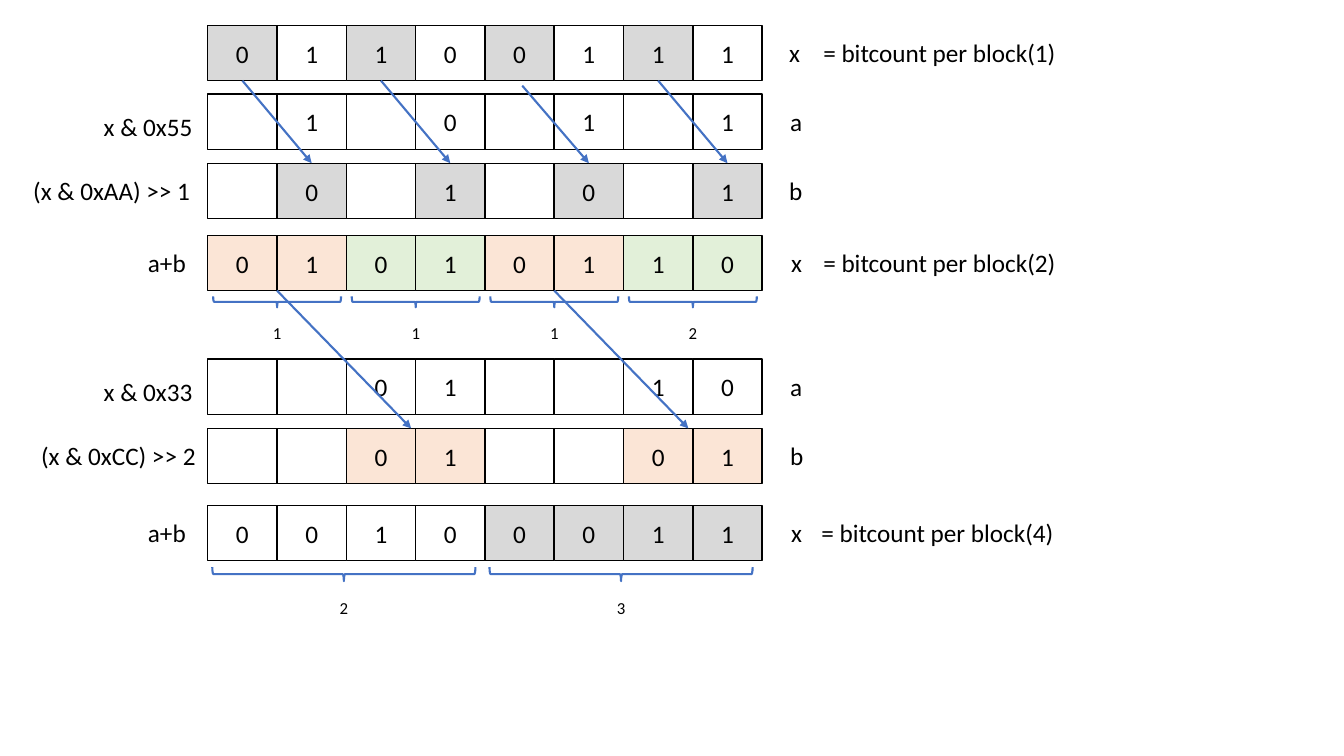
import dataclasses
import pptx
import pptx.util
import pptx.dml.color
import pptx.enum.shapes
import pptx.enum.text
import pptx.oxml
import pptx.oxml.ns

Pt = pptx.util.Pt
ALIGN = pptx.enum.text.PP_ALIGN


@dataclasses.dataclass(frozen=True)
class Theme:
    font: str = "Calibri"
    body: int = 18
    small: int = 12
    ink: str = "000000"
    blue: str = "4472C4"
    white: str = "FFFFFF"
    gray: str = "D9D9D9"
    peach: str = "FBE5D6"
    green: str = "E2F0D9"


THEME = Theme()
TINTS = {"w": THEME.white, "g": THEME.gray, "p": THEME.peach, "n": THEME.green}

# Bit grid
LEFT, WIDE, HIGH = 148.4, 49.5, 39.6
TOPS = [18, 67.2, 116.6, 168, 256.5, 306, 361]

# One row each: bits, cell tints
ROWS = [
    ("01100111", "gwgwgwgw"),
    (" 1 0 1 1", "wwwwwwww"),
    (" 0 1 0 1", "wgwgwgwg"),
    ("01010110", "ppnnppnn"),
    ("  01  10", "wwwwwwww"),
    ("  01  01", "wwppwwpp"),
    ("00100011", "wwwwgggg"),
]

# Side labels: row, text, left, width, drop below row top, wrap
LABELS = [
    (1, "x & 0x55", 67, 78.5, 8.6, False),
    (2, "(x & 0xAA) >> 1", 16.6, 135.4, 5, True),
    (3, "a+b", 98.6, 44, 5, True),
    (4, "x & 0x33", 67, 78.5, 8.6, False),
    (5, "(x & 0xCC) >> 2", 22.3, 126.7, 5, False),
    (6, "a+b", 98.6, 44, 5, True),
    (0, "x", 556.6, 22.3, 5, False),
    (1, "a", 557.3, 23, 5, False),
    (2, "b", 556.6, 24.5, 5, False),
    (3, "x", 558, 22.3, 5, False),
    (4, "a", 557.3, 23, 5, False),
    (5, "b", 557.3, 24.5, 5, False),
    (6, "x", 558, 22.3, 5, False),
    (0, "= bitcount per block(1)", 581, 190.8, 5, True),
    (3, "= bitcount per block(2)", 581, 190.8, 5, True),
    (6, "= bitcount per block(4)", 579.6, 190.8, 5, True),
]


def rgb(code):
    return pptx.dml.color.RGBColor.from_string(code)


def write(frame, text, size, align):
    para = frame.paragraphs[0]
    para.alignment = align
    run = para.add_run()
    run.text = text
    run.font.name = THEME.font
    run.font.size = Pt(size)
    run.font.color.rgb = rgb(THEME.ink)


def add_cell(slide, x, y, bit, tint):
    kind = pptx.enum.shapes.MSO_SHAPE.RECTANGLE
    cell = slide.shapes.add_shape(kind, Pt(x), Pt(y), Pt(WIDE), Pt(HIGH))
    cell.shadow.inherit = False
    cell.fill.solid()
    cell.fill.fore_color.rgb = rgb(tint)
    cell.line.color.rgb = rgb(THEME.ink)
    cell.line.width = Pt(1)
    if bit.strip():
        cell.text_frame.vertical_anchor = pptx.enum.text.MSO_ANCHOR.MIDDLE
        write(cell.text_frame, bit, THEME.body, ALIGN.CENTER)


def add_label(slide, x, y, wide, high, text, size=THEME.body,
              align=ALIGN.LEFT, wrap=True):
    box = slide.shapes.add_textbox(Pt(x), Pt(y), Pt(wide), Pt(high))
    box.text_frame.word_wrap = wrap
    box.text_frame.auto_size = pptx.enum.text.MSO_AUTO_SIZE.SHAPE_TO_FIT_TEXT
    write(box.text_frame, text, size, align)


def add_arrow(slide, x1, y1, x2, y2):
    kind = pptx.enum.shapes.MSO_CONNECTOR.STRAIGHT
    arrow = slide.shapes.add_connector(kind, Pt(x1), Pt(y1), Pt(x2), Pt(y2))
    arrow.line.color.rgb = rgb(THEME.blue)
    arrow.line.width = Pt(1.5)
    # Arrowhead and no shadow
    space = pptx.oxml.ns.nsdecls("a")
    head = pptx.oxml.parse_xml(f'<a:tailEnd {space} type="triangle"/>')
    arrow.line._get_or_add_ln().append(head)
    bare = pptx.oxml.parse_xml(f"<a:effectLst {space}/>")
    arrow._element.spPr.append(bare)


def add_brace(slide, mid, y, thick, span, count, drop):
    # The upright brace is turned about its centre to open upwards
    kind = pptx.enum.shapes.MSO_SHAPE.RIGHT_BRACE
    brace = slide.shapes.add_shape(kind, Pt(mid - thick / 2), Pt(y - span / 2),
                                   Pt(thick), Pt(span))
    brace.rotation = 90
    brace.shadow.inherit = False
    brace.fill.background()
    brace.line.color.rgb = rgb(THEME.blue)
    brace.line.width = Pt(1.5)
    add_label(slide, mid - 10, y + drop, 20, 22, count, THEME.small,
              ALIGN.CENTER)


def main():
    deck = pptx.Presentation()
    deck.slide_width, deck.slide_height = Pt(960), Pt(540)
    slide = deck.slides.add_slide(deck.slide_layouts[6])

    # Bit rows
    for top, (bits, tints) in zip(TOPS, ROWS):
        for col, (bit, tint) in enumerate(zip(bits, tints)):
            add_cell(slide, LEFT + col * WIDE, top, bit, TINTS[tint])

    # Labels on both sides
    for row, text, x, wide, drop, wrap in LABELS:
        add_label(slide, x, TOPS[row] + drop, wide, 29, text, wrap=wrap)

    # Shift by one bit; the third arrow starts a little lower
    for col in range(0, 8, 2):
        x = LEFT + (col + 0.5) * WIDE
        dx, dy = (1.9, 3.6) if col == 4 else (0, 0)
        add_arrow(slide, x + dx, TOPS[0] + HIGH + dy, x + WIDE, TOPS[2])

    # Shift by two bits
    for col in (1, 5):
        x = LEFT + col * WIDE
        add_arrow(slide, x, TOPS[3] + HIGH, x + 95.8, TOPS[5])

    # Counts per block of two and of four
    for block, count in enumerate("1112"):
        mid = LEFT + (2 * block + 1) * WIDE
        add_brace(slide, mid, 215.6, 7.9, 91.4, count, 11.2)
    for block, count in enumerate("23"):
        mid = LEFT + (4 * block + 2) * WIDE - 1.8
        add_brace(slide, mid, 410.1, 10, 188, count, 13.3)

    deck.save("out.pptx")


main()
